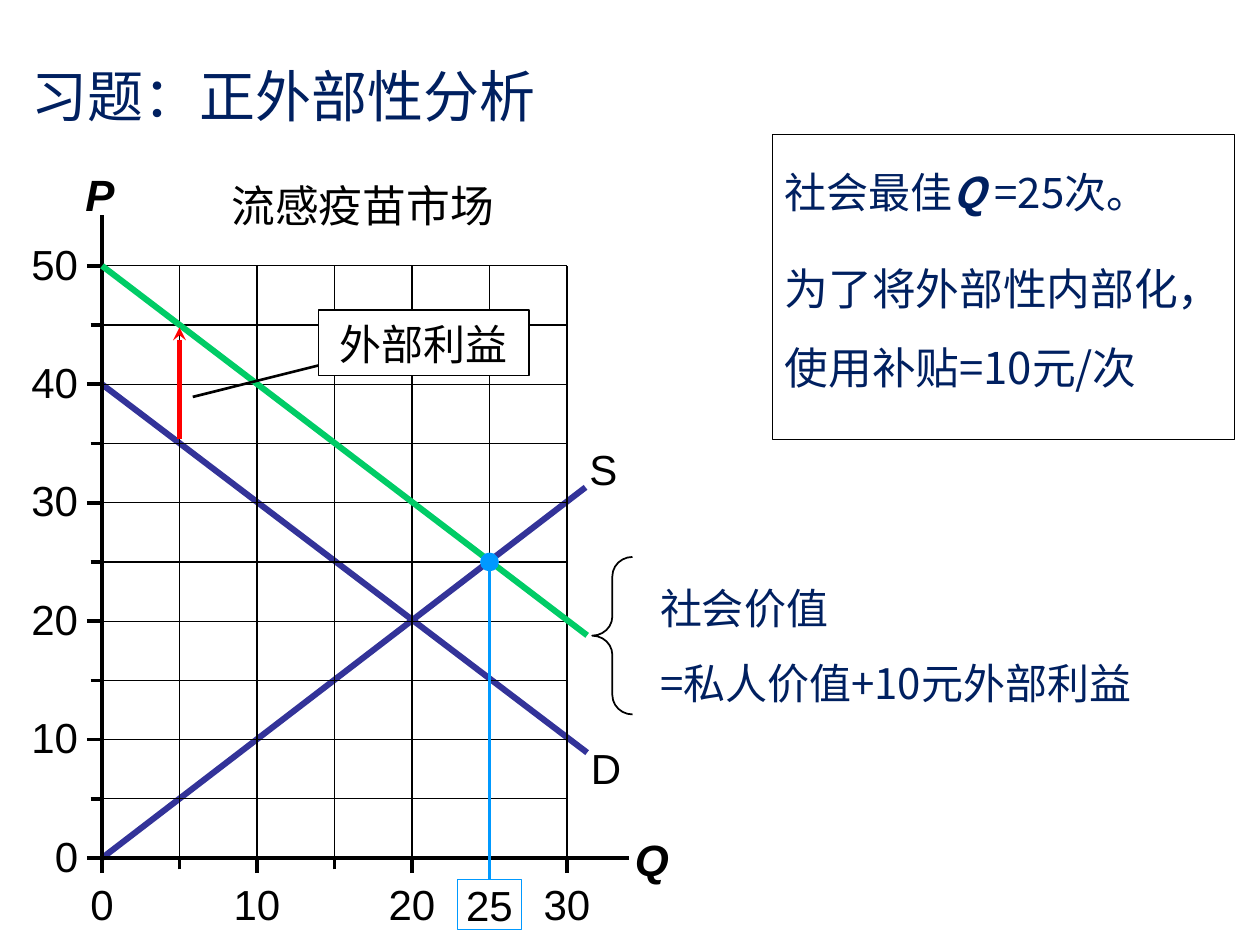
from pptx import Presentation
from pptx.dml.color import RGBColor
from pptx.enum.shapes import MSO_CONNECTOR, MSO_SHAPE
from pptx.enum.text import MSO_ANCHOR, PP_ALIGN
from pptx.oxml.ns import qn
from pptx.util import Inches, Pt
from lxml import etree

STRAIGHT = MSO_CONNECTOR.STRAIGHT
RECT, OVAL, BRACE = MSO_SHAPE.RECTANGLE, MSO_SHAPE.OVAL, MSO_SHAPE.LEFT_BRACE
TOP, MIDDLE = MSO_ANCHOR.TOP, MSO_ANCHOR.MIDDLE
LEFT, CENTER, RIGHT = PP_ALIGN.LEFT, PP_ALIGN.CENTER, PP_ALIGN.RIGHT

NAVY = RGBColor(0x00, 0x20, 0x60)
BLACK = RGBColor(0x00, 0x00, 0x00)
WHITE = RGBColor(0xFF, 0xFF, 0xFF)
INDIGO = RGBColor(0x33, 0x33, 0x99)
GREEN = RGBColor(0x00, 0xCC, 0x66)
RED = RGBColor(0xFF, 0x00, 0x00)
SKY = RGBColor(0x00, 0x99, 0xFF)

CJK, ARIAL = "Noto Sans CJK SC", "Arial"
SLIDE_W, SLIDE_H = Inches(10), Inches(7.5)
COL, ROW = SLIDE_W / 100, SLIDE_H / 75
ORIGIN_X, ORIGIN_Y = 8.1, 68.1
Q_STEP, P_STEP = 1.23, 0.94
Q_MAX, P_MAX, HALF = 30, 50, 5
AXIS_PT, GRID_PT, CURVE_PT = 2.13, 0.75, 3.5


def qx(quantity):
    return ORIGIN_X + quantity * Q_STEP


def py(price):
    return ORIGIN_Y - price * P_STEP


def box(left, top, width, height):
    return round(left * COL), round(top * ROW), round(width * COL), round(height * ROW)


def add_line(s, start, end, color, width):
    x1, y1 = start
    x2, y2 = end
    line = s.shapes.add_connector(STRAIGHT, round(x1 * COL), round(y1 * ROW),
                                  round(x2 * COL), round(y2 * ROW))
    line.line.color.rgb = color
    line.line.width = Pt(width)
    etree.SubElement(line._element.spPr, qn("a:effectLst"))
    return line


def add_arrow(s, start, end, color, width):
    arrow = add_line(s, start, end, color, width)
    etree.SubElement(arrow.line._get_or_add_ln(), qn("a:tailEnd"), type="stealth")


def add_shape(s, kind, at, fill=None, line=None, width=0.75):
    sp = s.shapes.add_shape(kind, *box(*at))
    sp.shadow.inherit = False
    if fill is None:
        sp.fill.background()
    else:
        sp.fill.solid()
        sp.fill.fore_color.rgb = fill
    if line is None:
        sp.line.fill.background()
    else:
        sp.line.color.rgb = line
        sp.line.width = Pt(width)
    return sp


def add_run(p, text, size, font, color, slanted=False):
    r = p.add_run()
    r.text = text
    r.font.size = Pt(size)
    r.font.bold = r.font.italic = slanted
    r.font.color.rgb = color
    r.font.name = font
    etree.SubElement(r._r.get_or_add_rPr(), qn("a:ea"), typeface=CJK)


def write(sp, paragraphs, font=ARIAL, color=BLACK, align=LEFT, anchor=TOP,
          spacing=None, before=0, inset=None):
    tf = sp.text_frame
    tf.word_wrap = True
    tf.vertical_anchor = anchor
    if inset is not None:
        tf.margin_left = tf.margin_right = tf.margin_top = tf.margin_bottom = inset
    for i, runs in enumerate(paragraphs):
        p = tf.add_paragraph() if i else tf.paragraphs[0]
        p.alignment = align
        p.space_before = Pt(before)
        if spacing:
            p.line_spacing = spacing
        for text, size, *slanted in runs:
            add_run(p, text, size, font, color, *slanted)


def add_text(s, at, paragraphs, **style):
    write(s.shapes.add_textbox(*box(*at)), paragraphs, **style)


def add_grid(s):
    for price in range(HALF, P_MAX + 1, HALF):
        add_line(s, (qx(0), py(price)), (qx(Q_MAX), py(price)), BLACK, GRID_PT)
    for quantity in range(HALF, Q_MAX + 1, HALF):
        add_line(s, (qx(quantity), py(P_MAX)), (qx(quantity), py(0)), BLACK, GRID_PT)


def add_axes(s):
    add_line(s, (qx(0), 17.1), (qx(0), py(0)), BLACK, AXIS_PT)
    add_line(s, (qx(0), py(0)), (49.9, py(0)), BLACK, AXIS_PT)
    for price in range(0, P_MAX + 1, HALF):
        major = price % 10 == 0
        length = 1.2 if major else 0.9
        add_line(s, (qx(0) - length, py(price)), (qx(0), py(price)), BLACK, AXIS_PT)
        if major:
            add_text(s, (1.2, py(price) - 2.2, 5, 4), [[(str(price), 24)]],
                     align=RIGHT, inset=0)
    for quantity in range(0, Q_MAX + 1, HALF):
        major = quantity % 10 == 0
        length = 1.2 if major else 0.9
        add_line(s, (qx(quantity), py(0) + length), (qx(quantity), py(0)), BLACK, AXIS_PT)
        if major:
            add_text(s, (qx(quantity) - 2.5, 69.7, 5, 4), [[(str(quantity), 24)]],
                     align=CENTER, inset=0)
    add_text(s, (5.8, 12.8, 5.1, 5.2), [[("P", 25, True)]])
    add_text(s, (49.4, 65.6, 5.6, 5.2), [[("Q", 25, True)]])


def add_curves(s):
    add_line(s, (qx(0), py(40)), (qx(31.3), py(8.9)), INDIGO, CURVE_PT)
    add_line(s, (qx(0), py(0)), (qx(31.2), py(31.3)), INDIGO, CURVE_PT)
    add_text(s, (45.9, 58.4, 4.5, 5), [[("D", 24)]])
    add_text(s, (45.8, 34.7, 4.3, 5), [[("S", 24)]])


def add_social_value(s):
    add_line(s, (qx(0), py(50)), (qx(31.3), py(18.8)), GREEN, CURVE_PT)
    brace = add_shape(s, BRACE, (47, 44.2, 3.2, 12.5), line=BLACK, width=1)
    brace.adjustments[0] = 0.48
    brace.adjustments[1] = 0.5
    add_text(s, (51.4, 43.7, 45, 13.1),
             [[("社会价值", 24)], [("=私人价值+10元外部利益", 24)]],
             font=CJK, color=NAVY, spacing=1.5)


def add_external_benefit(s):
    add_arrow(s, (qx(5), py(35.4)), (qx(5), py(44.8)), RED, 2.5)
    add_line(s, (15.3, 31.5), (26.5, 28.7), BLACK, 1.5)
    label = add_shape(s, RECT, (25.3, 24.6, 16.7, 5.2), WHITE, BLACK)
    write(label, [[("外部利益", 24)]], align=CENTER, spacing=1.05)


def add_optimum(s):
    frame = add_shape(s, RECT, (qx(25) - 2.55, 69.8, 5.1, 4), line=SKY)
    drop = add_line(s, (qx(25), py(25)), (qx(25), 69.8), SKY, 1.5)
    drop.end_connect(frame, 0)
    add_shape(s, OVAL, (qx(25) - 0.75, py(25) - 0.75, 1.5, 1.5), SKY)
    write(frame, [[("25", 24)]], align=CENTER, anchor=MIDDLE, inset=0)


def add_answer(s):
    answer = add_shape(s, RECT, (61.3, 10.7, 36.7, 24.2), WHITE, BLACK)
    write(answer, [[("社会最佳", 24), ("Q ", 24, True), ("=25次。", 24)],
                   [("为了将外部性内部化，使用补贴=10元/次", 25)]],
          font=CJK, color=NAVY, spacing=1.5, before=11)


def main():
    prs = Presentation()
    prs.slide_width, prs.slide_height = SLIDE_W, SLIDE_H
    s = prs.slides.add_slide(prs.slide_layouts[6])
    add_text(s, (1.5, 5, 54.3, 5.1), [[("习题：正外部性分析", 32)]],
             font=CJK, color=NAVY, anchor=MIDDLE)
    add_answer(s)
    add_text(s, (17.4, 13.7, 24, 5.2), [[("流感疫苗市场", 25)]])
    add_curves(s)
    add_grid(s)
    add_axes(s)
    add_social_value(s)
    add_external_benefit(s)
    add_optimum(s)
    prs.save("out.pptx")


if __name__ == "__main__":
    main()
